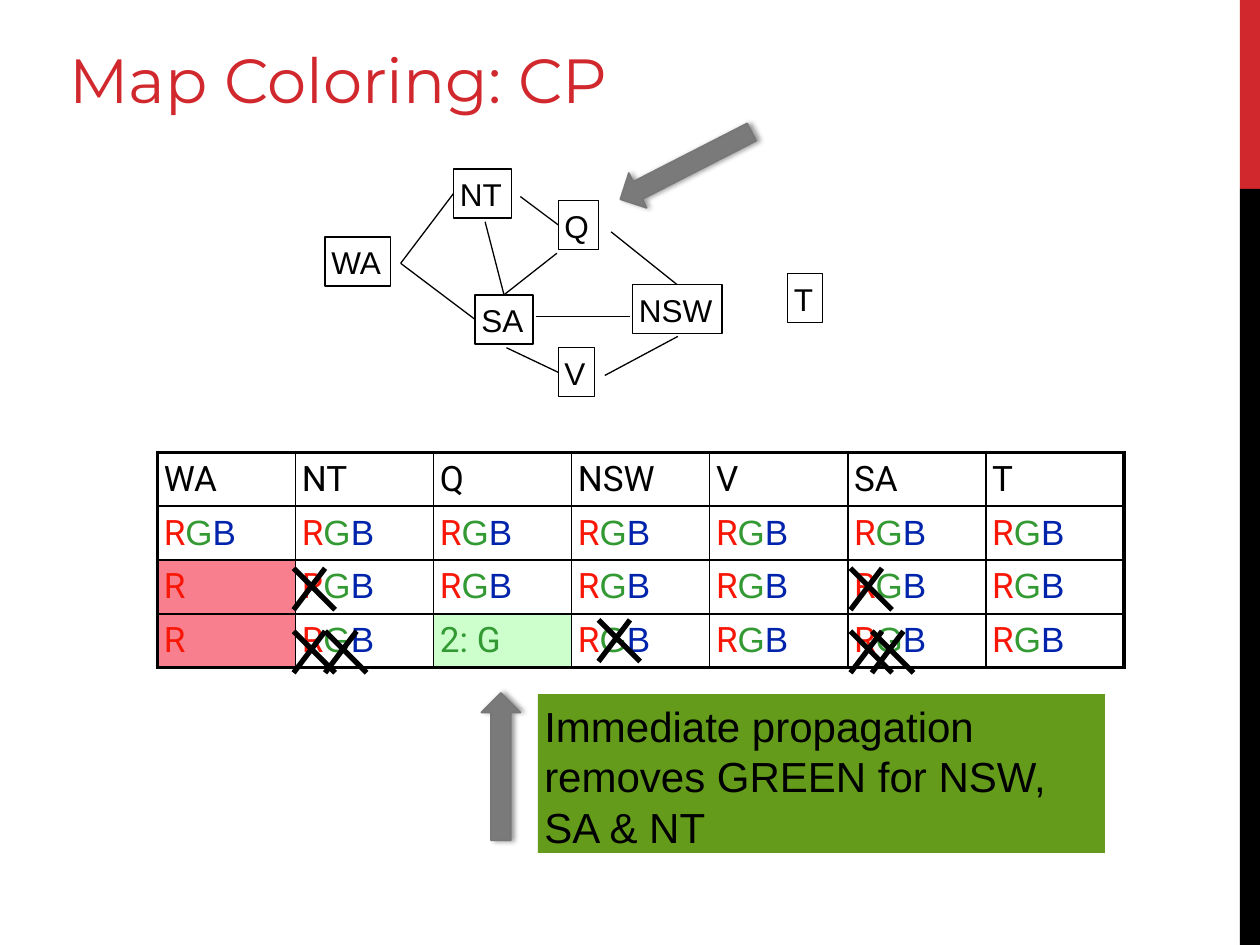
from dataclasses import dataclass

from lxml.etree import SubElement
from pptx import Presentation
from pptx.dml.color import RGBColor
from pptx.enum.shapes import MSO_CONNECTOR, MSO_SHAPE
from pptx.enum.text import MSO_ANCHOR, MSO_AUTO_SIZE, PP_ALIGN
from pptx.oxml.ns import qn
from pptx.util import Inches, Pt


@dataclass(frozen=True)
class Theme:
    black: str = "000000"
    white: str = "FFFFFF"
    accent: str = "D1282E"
    red: str = "F81706"
    green: str = "339933"
    blue: str = "0023AB"
    red_cell: str = "F8808E"
    green_cell: str = "CCFFCC"
    callout: str = "649B1B"
    arrow: str = "7A7A7A"
    arrow_line: str = "777777"
    title_font: str = "Montserrat"
    table_font: str = "Roboto"
    body_font: str = "Arial"
    title_size: float = 35.6
    callout_size: float = 24
    table_size: float = 20
    node_size: float = 18


THEME = Theme()
TOP, LEFT, BOTTOM, RIGHT = range(4)

# Region: left, top, width
NODES = {
    "T": (6.25, 2.17, 0.28),
    "WA": (2.58, 1.88, 0.52),
    "NT": (3.6, 1.34, 0.46),
    "SA": (3.77, 2.34, 0.46),
    "Q": (4.43, 1.59, 0.32),
    "NSW": (5.02, 2.26, 0.71),
    "V": (4.43, 2.76, 0.29),
}
NODE_HEIGHT = 0.39

# Start, end, and the region side where the end is joined (if any)
EDGES = [
    ((3.18, 2.09), (3.6, 1.51), ("NT", LEFT)),
    ((3.18, 2.09), (3.77, 2.59), ("SA", LEFT)),
    ((3.85, 1.76), (4.02, 2.34), ("SA", TOP)),
    ((4.02, 2.76), (4.43, 3.01), ("V", LEFT)),
    ((4.85, 1.84), (5.35, 2.26), ("NSW", TOP)),
    ((4.13, 1.56), (4.45, 1.81), ("Q", LEFT)),
    ((4.8, 2.98), (5.38, 2.67), None),
    ((4.42, 2.01), (4, 2.34), ("SA", TOP)),
    ((4.25, 2.51), (5, 2.51), None),
]

REGIONS = ["WA", "NT", "Q", "NSW", "V", "SA", "T"]
DOMAINS = [
    ["RGB"] * 7,
    ["R"] + ["RGB"] * 6,
    ["R", "RGB", "2: G"] + ["RGB"] * 4,
]
CELL_FILLS = {"R": THEME.red_cell, "2: G": THEME.green_cell}

CROSSES = [(2.33, 4.51), (6.75, 4.51), (2.58, 5.01), (4.75, 4.92),
           (6.92, 5.01), (6.75, 5.01), (2.33, 5.01)]


def color(value):
    return RGBColor.from_string(value)


def add_span(para, text, *, size, font, ink=THEME.black):
    span = para.add_run()
    span.text = text
    span.font.size = Pt(size)
    span.font.name = font
    span.font.color.rgb = color(ink)


def set_margins(target):
    target.margin_left = target.margin_right = Inches(0.05)
    target.margin_top = target.margin_bottom = Inches(0.05)


def write_text(shape, text, *, anchor=MSO_ANCHOR.TOP, wrap=True, **style):
    frame = shape.text_frame
    set_margins(frame)
    frame.auto_size = MSO_AUTO_SIZE.NONE
    frame.word_wrap = wrap
    frame.vertical_anchor = anchor
    para = frame.paragraphs[0]
    para.alignment = PP_ALIGN.LEFT
    add_span(para, text, **style)


def add_box(page, left, top, width, height, *, fill=None, line=None,
            weight=0.75, kind=MSO_SHAPE.RECTANGLE):
    box = page.shapes.add_shape(kind, Inches(left), Inches(top),
                                Inches(width), Inches(height))
    box.shadow.inherit = False
    if fill:
        box.fill.solid()
        box.fill.fore_color.rgb = color(fill)
    else:
        box.fill.background()
    if line:
        box.line.color.rgb = color(line)
        box.line.width = Pt(weight)
    else:
        box.line.fill.background()
    return box


def add_line(page, start, end, weight):
    points = [Inches(value) for value in (*start, *end)]
    line = page.shapes.add_connector(MSO_CONNECTOR.STRAIGHT, *points)
    line.line.color.rgb = color(THEME.black)
    line.line.width = Pt(weight)
    SubElement(line._element.spPr, qn("a:effectLst"))
    return line


def add_cross(page, left, top):
    bottom = top + 0.33
    add_line(page, (left + 0.25, top), (left, bottom), 3)
    add_line(page, (left, top), (left + 0.33, bottom), 3)


def add_arrow(page, left, top, rotation):
    arrow = add_box(page, left, top, 1.17, 0.31, fill=THEME.arrow,
                    line=THEME.arrow_line, weight=1, kind=MSO_SHAPE.LEFT_ARROW)
    arrow.rotation = rotation
    effects = arrow._element.spPr.find(qn("a:effectLst"))
    shadow = SubElement(effects, qn("a:outerShdw"), blurRad=str(Pt(3)),
                        dist=str(Pt(1.8)), dir="0", rotWithShape="0")
    ink = SubElement(shadow, qn("a:srgbClr"), val=THEME.black)
    SubElement(ink, qn("a:alpha"), val="40000")


def add_graph(page):
    boxes = {}
    for name, (left, top, width) in NODES.items():
        boxes[name] = add_box(page, left, top, width, NODE_HEIGHT, line=THEME.black)
        write_text(boxes[name], name, wrap=False, size=THEME.node_size,
                   font=THEME.body_font)
    for start, end, joint in EDGES:
        edge = add_line(page, start, end, 0.75)
        if joint:
            name, side = joint
            edge.end_connect(boxes[name], side)


def set_borders(cell, outer):
    properties = cell._tc.get_or_add_tcPr()
    for side in ("L", "R", "T", "B"):
        width = Pt(2.25 if side in outer else 1)
        border = SubElement(properties, qn(f"a:ln{side}"), w=str(width))
        fill = SubElement(border, qn("a:solidFill"))
        SubElement(fill, qn("a:srgbClr"), val=THEME.black)


def write_cell(cell, text, is_header):
    para = cell.text_frame.paragraphs[0]
    if is_header:
        add_span(para, text, size=THEME.table_size, font=THEME.table_font)
    elif text == "2: G":
        add_span(para, text, size=THEME.table_size, font=THEME.table_font,
                 ink=THEME.green)
    else:
        inks = {"R": THEME.red, "G": THEME.green, "B": THEME.blue}
        for letter in text:
            font = THEME.table_font if letter == "R" else THEME.body_font
            add_span(para, letter, size=THEME.table_size, font=font, ink=inks[letter])


def add_domain_table(page):
    rows = [REGIONS] + DOMAINS
    last_row, last_column = len(rows) - 1, len(REGIONS) - 1
    table = page.shapes.add_table(len(rows), len(REGIONS), Inches(1.25), Inches(3.59),
                                  Inches(7.67), Inches(1.71)).table
    table.first_row = table.horz_banding = False
    for r, row in enumerate(rows):
        for c, text in enumerate(row):
            cell = table.cell(r, c)
            set_margins(cell)
            outer = {side for side, at_edge in (("L", c == 0), ("R", c == last_column),
                                                ("T", r == 0), ("B", r == last_row))
                     if at_edge}
            set_borders(cell, outer)
            cell.fill.solid()
            cell.fill.fore_color.rgb = color(CELL_FILLS.get(text, THEME.white))
            write_cell(cell, text, is_header=r == 0)


def add_title(page, text):
    title = page.shapes.title
    title.left, title.top = Inches(0.5), Inches(0.18)
    title.width, title.height = Inches(8.48), Inches(0.79)
    write_text(title, text, anchor=MSO_ANCHOR.BOTTOM, size=THEME.title_size,
               font=THEME.title_font, ink=THEME.accent)


def main():
    deck = Presentation()
    deck.slide_width, deck.slide_height = Inches(10), Inches(7.5)
    page = deck.slides.add_slide(deck.slide_layouts[5])

    # Side band and title
    add_box(page, 9.84, 0, 0.16, 1.5, fill=THEME.accent)
    add_box(page, 9.84, 1.5, 0.16, 6, fill=THEME.black)
    add_title(page, "Map Coloring: CP")

    # Constraint graph and domains with removed values
    add_domain_table(page)
    add_graph(page)
    for left, top in CROSSES:
        add_cross(page, left, top)

    # Callout and pointers
    callout = add_box(page, 4.27, 5.51, 4.5, 1.26, fill=THEME.callout)
    write_text(callout, "Immediate propagation removes GREEN for NSW, SA & NT",
               size=THEME.callout_size, font=THEME.body_font)
    add_arrow(page, 4.86, 1.16, 332.9)
    add_arrow(page, 3.39, 5.93, 90)

    deck.save("out.pptx")


if __name__ == "__main__":
    main()
